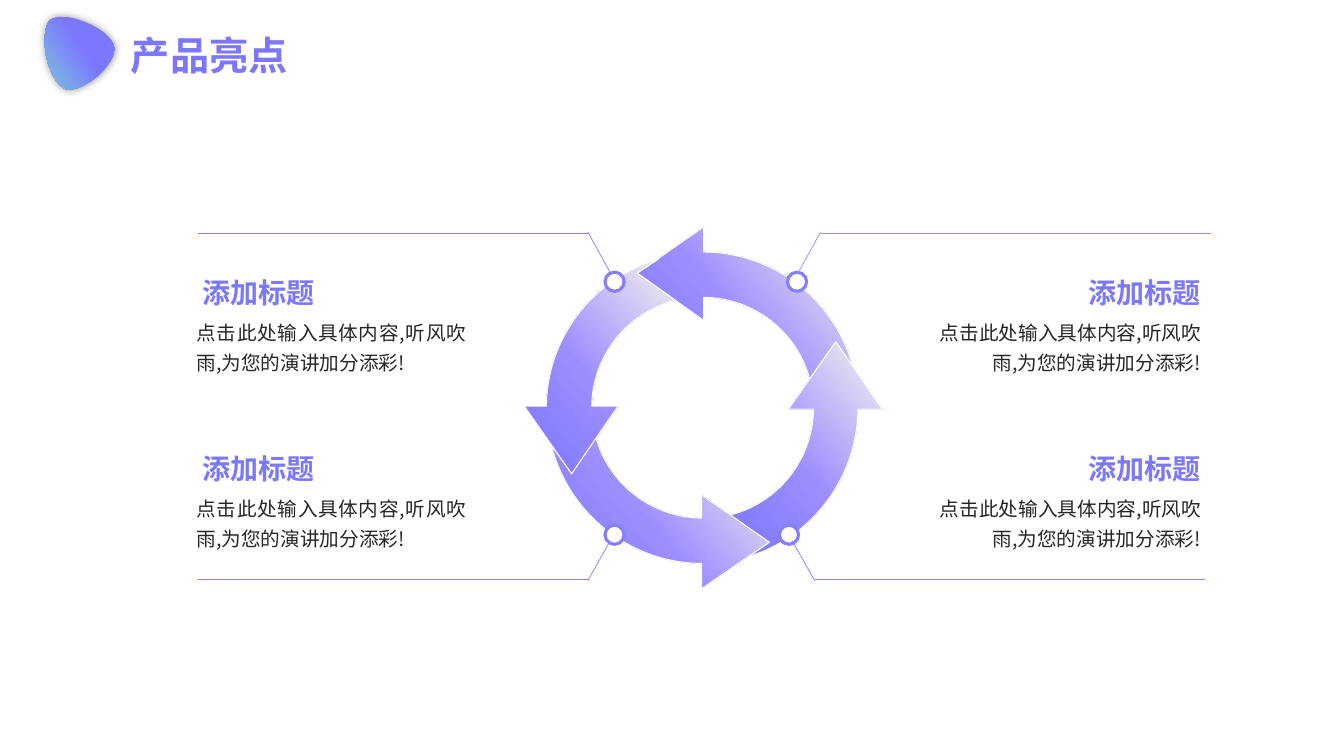
from dataclasses import dataclass
from math import atan2, cos, hypot, pi, sin, tan

from lxml.etree import SubElement
from pptx import Presentation
from pptx.dml.color import RGBColor
from pptx.enum.shapes import MSO_CONNECTOR, MSO_SHAPE
from pptx.enum.text import MSO_AUTO_SIZE, PP_ALIGN
from pptx.oxml.ns import qn
from pptx.util import Inches, Pt


@dataclass(frozen=True)
class Theme:
    """Colours, type sizes and font of the slide."""
    font: str = "Noto Sans CJK SC"
    purple: str = "7B77FF"
    outline: str = "857EFF"
    lilac: str = "9D8EFF"
    ink: str = "262626"
    white: str = "FFFFFF"
    ring: tuple = ((2, "7B77FF"), (44, "9D8EFF"), (97, "EFEFEF"))
    badge: tuple = ((2, "7B77FF"), (44, "7B77FF"), (97, "7CBEE0"))
    title_size: int = 28
    heading_size: int = 20
    body_size: int = 14


THEME = Theme()
BODY = "点击此处输入具体内容,听风吹雨,为您的演讲加分添彩!"
HEADING = "添加标题"
RING_CENTRE = (6.97, 4.04)


def rgb(value):
    """Return a colour from its hexadecimal text."""
    return RGBColor.from_string(value)


def arc(start, end):
    """Return a start point and one curve around the ring centre."""
    centre_x, centre_y = RING_CENTRE
    offsets = [(x - centre_x, y - centre_y) for x, y in (start, end)]
    first, last = [atan2(y, x) for x, y in offsets]
    sweep = (last - first + pi) % (2 * pi) - pi
    reach = 4 / 3 * tan(sweep / 4)
    pulls = [reach * hypot(x, y) for x, y in offsets]
    leave = (start[0] - pulls[0] * sin(first), start[1] + pulls[0] * cos(first))
    arrive = (end[0] + pulls[1] * sin(last), end[1] - pulls[1] * cos(last))
    return [start, (leave, arrive, end)]


def is_curve(step):
    """Tell whether an outline step is a curve and not a point."""
    return len(step) == 3


def add_outline(slide, steps, stops, angle):
    """Draw a closed outline of points and curves with a gradient fill."""
    ends = [step[-1] if is_curve(step) else step for step in steps]
    corners = [(Inches(x), Inches(y)) for x, y in ends]
    builder = slide.shapes.build_freeform(*corners[0])
    builder.add_line_segments(corners[1:], close=True)
    shape = builder.convert_to_shape()
    segments = list(shape._element.iter(qn("a:lnTo")))
    for segment, step in zip(segments, steps[1:]):
        if is_curve(step):
            bend_segment(shape, segment, step)
    shape.shadow.inherit = False
    shape.fill.gradient()
    shape.fill.gradient_angle = angle
    stop_list = next(shape._element.iter(qn("a:gsLst")))
    for old_stop in list(stop_list):
        stop_list.remove(old_stop)
    for position, colour in stops:
        stop = SubElement(stop_list, qn("a:gs"), pos=str(position * 1000))
        SubElement(stop, qn("a:srgbClr"), val=colour)
    return shape


def bend_segment(shape, segment, curve):
    """Turn a straight segment of a freeform into a cubic curve."""
    outline = segment.getparent()
    bend = SubElement(outline, qn("a:cubicBezTo"))
    for x, y in curve:
        SubElement(bend, qn("a:pt"), x=str(Inches(x) - shape.left),
                   y=str(Inches(y) - shape.top))
    outline.replace(segment, bend)


def add_text(slide, text, left, top, width, height, *, size, colour,
             bold=False, align=PP_ALIGN.LEFT, spacing=None, wrap=True):
    """Add a text box with one formatted paragraph."""
    box = slide.shapes.add_textbox(*map(Inches, (left, top, width, height)))
    frame = box.text_frame
    frame.word_wrap = wrap
    frame.auto_size = MSO_AUTO_SIZE.SHAPE_TO_FIT_TEXT
    paragraph = frame.paragraphs[0]
    paragraph.alignment = align
    paragraph.line_spacing = spacing
    run = paragraph.add_run()
    run.text = text
    run.font.name = THEME.font
    run.font.size = Pt(size)
    run.font.bold = bold
    run.font.color.rgb = rgb(colour)
    SubElement(run._r.get_or_add_rPr(), qn("a:ea"), typeface=THEME.font)


def add_line(slide, start, end, colour):
    """Draw a thin straight line."""
    line = slide.shapes.add_connector(
        MSO_CONNECTOR.STRAIGHT, *map(Inches, (*start, *end)))
    line.line.color.rgb = rgb(colour)
    line.line.width = Pt(0.5)
    SubElement(line._element.spPr, qn("a:effectLst"))


def add_dot(slide, left, top):
    """Draw a white dot with a purple rim."""
    dot = slide.shapes.add_shape(
        MSO_SHAPE.OVAL, *map(Inches, (left, top, 0.19, 0.19)))
    dot.shadow.inherit = False
    dot.fill.solid()
    dot.fill.fore_color.rgb = rgb(THEME.white)
    dot.line.color.rgb = rgb(THEME.outline)
    dot.line.width = Pt(2.25)


def add_callout(slide, dot_left, line_start, is_left, is_top, colour):
    """Draw a dot, its bent leader line, a heading and a description."""
    direction = -1 if is_left else 1
    dot_top, start_y, knee_y, rule_y = (
        (2.7, 2.7, 2.3, 2.32) if is_top else (5.21, 5.37, 5.76, 5.75))
    heading_top, body_top = (2.68, 3.06) if is_top else (4.43, 4.81)
    knee_x = line_start + direction * 0.22
    add_dot(slide, dot_left, dot_top)
    add_line(slide, (line_start, start_y), (knee_x, knee_y), colour)
    add_line(slide, (knee_x, rule_y), (knee_x + direction * 3.87, rule_y), colour)
    add_text(slide, BODY, 1.85 if is_left else 9.14, body_top, 2.87, 0.71,
             size=THEME.body_size, colour=THEME.ink, spacing=1.3,
             align=PP_ALIGN.JUSTIFY if is_left else PP_ALIGN.RIGHT)
    add_text(slide, HEADING, 1.91 if is_left else 10.51, heading_top, 1.5, 0.44,
             size=THEME.heading_size, colour=THEME.purple, bold=True,
             align=PP_ALIGN.LEFT if is_left else PP_ALIGN.RIGHT)


def add_ring(slide):
    """Draw the four arrows that chase each other around the ring."""
    top = [(6.98, 3.18), (6.32, 2.71), (6.98, 2.25),
           *arc((6.98, 2.5), (8.46, 3.64)), (8.29, 3.39),
           *arc((8.03, 3.76), (6.98, 2.95))]
    right = [*arc((7.24, 5.11), (8.07, 4.06)), (7.82, 4.06), (8.29, 3.39),
             (8.75, 4.06), *arc((8.51, 4.06), (7.43, 5.52)), (7.63, 5.38)]
    bottom = [*arc((6.96, 5.59), (5.47, 4.42)), (5.67, 4.7),
              *arc((5.91, 4.34), (6.96, 5.14)), (6.96, 4.91),
              (7.63, 5.38), (6.96, 5.84)]
    left = [(5.2, 4.03), *arc((5.42, 4.03), (6.53, 2.57)), (6.32, 2.71),
            *arc((6.7, 2.98), (5.87, 4.03)), (6.13, 4.03), (5.67, 4.7)]
    for steps in (top, right, bottom, left):
        arrow = add_outline(slide, steps, THEME.ring, 40)
        arrow.line.color.rgb = rgb(THEME.white)
        arrow.line.width = Pt(0.75)


def add_badge(slide):
    """Draw the rounded badge with a soft shadow beside the title."""
    steps = (
        (1.14, 0.47),
        ((1.15, 0.54), (1.08, 0.67), (0.95, 0.77)),
        ((0.85, 0.85), (0.75, 0.89), (0.68, 0.89)),
        ((0.66, 0.89), (0.63, 0.88), (0.61, 0.86)),
        ((0.55, 0.81), (0.49, 0.7), (0.46, 0.57)),
        ((0.43, 0.42), (0.44, 0.29), (0.48, 0.22)),
        ((0.49, 0.2), (0.51, 0.18), (0.54, 0.18)),
        ((0.61, 0.15), (0.74, 0.17), (0.87, 0.23)),
        ((1.02, 0.29), (1.12, 0.39), (1.14, 0.47)),
    )
    badge = add_outline(slide, steps, THEME.badge, 215)
    badge.line.fill.background()
    effects = badge._element.spPr.find(qn("a:effectLst"))
    shadow = SubElement(effects, qn("a:outerShdw"), blurRad=str(Pt(6)), dist="0",
                        dir="0", algn="ctr", rotWithShape="0")
    shade = SubElement(shadow, qn("a:srgbClr"), val="000000")
    SubElement(shade, qn("a:alpha"), val="40000")


def main():
    """Build the slide and save it."""
    presentation = Presentation()
    presentation.slide_width = Inches(13.33)
    presentation.slide_height = Inches(7.5)
    slide = presentation.slides.add_slide(presentation.slide_layouts[6])
    add_ring(slide)
    add_callout(slide, 6, 6.05, True, True, THEME.outline)
    add_callout(slide, 6, 6.05, True, False, THEME.outline)
    add_callout(slide, 7.81, 7.92, False, True, THEME.lilac)
    add_callout(slide, 7.73, 7.86, False, False, THEME.outline)
    add_text(slide, "产品亮点", 1.2, 0.26, 1.77, 0.57, size=THEME.title_size,
             colour=THEME.purple, bold=True, wrap=False)
    add_badge(slide)
    presentation.save("out.pptx")


if __name__ == "__main__":
    main()
